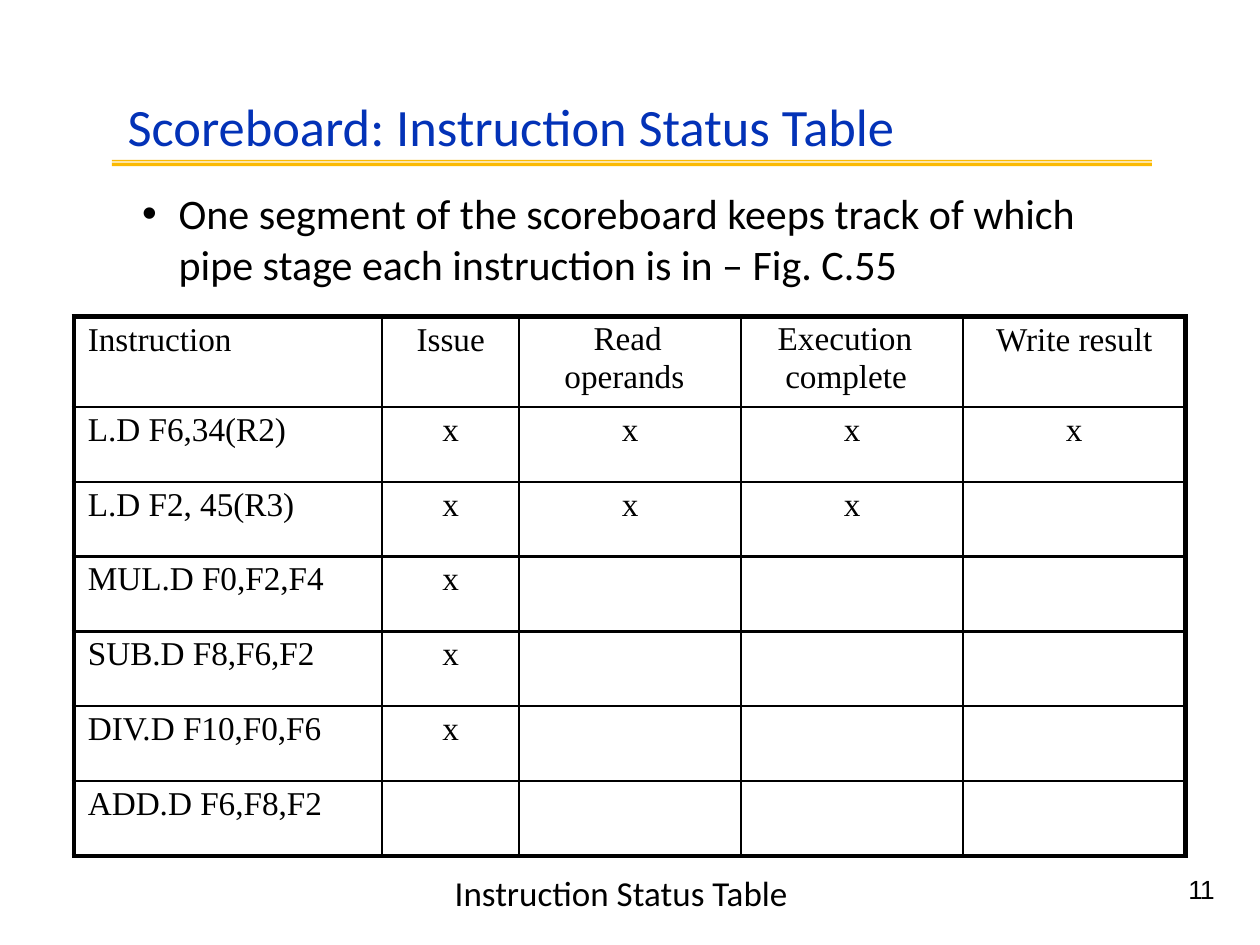
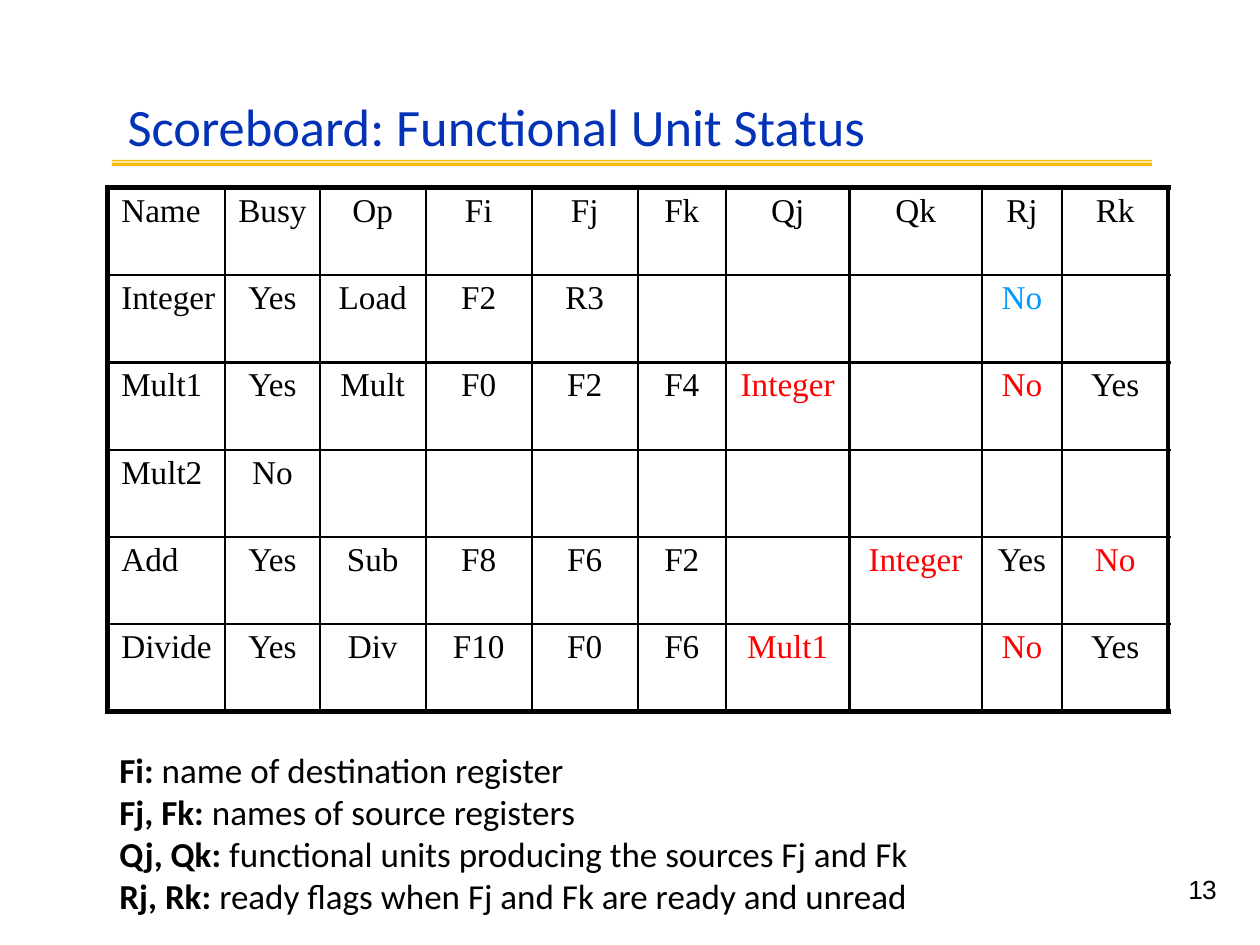
import pptx
import pptx.dml.color
import pptx.enum.text
import pptx.oxml
import pptx.oxml.ns
import pptx.util

Pt = pptx.util.Pt
ALIGN = pptx.enum.text.PP_ALIGN
COLORS = {"title": "0332B7", "rule": "FBBA03", "text": "000000",
          "waiting": "FF0000", "read": "0099FF"}
FONT, TABLE_FONT, NUMBER_FONT = "Calibri", "Times New Roman", "Arial"
RULE_LEFT, RULE_RIGHT = 64, 658.2
RULE_STRIPES = [(92.9, 95), (91.4, 92.2)]
OUTER_LINE, INNER_LINE = 3, 1.5


def rgb(name):
    return pptx.dml.color.RGBColor.from_string(COLORS[name])


def format_run(r, size, font=FONT, color="text", bold=False):
    r.font.size = Pt(size)
    r.font.name = font
    r.font.bold = bold
    r.font.color.rgb = rgb(color)


def set_indent(p, left, first):
    pPr = p._p.get_or_add_pPr()
    pPr.set("marL", str(Pt(left)))
    pPr.set("indent", str(Pt(first)))


def prepare_frame(sp, box, margins):
    """Place a text shape and set its insets (left, top, right, bottom)."""
    sp.left, sp.top, sp.width, sp.height = map(Pt, box)
    tf = sp.text_frame
    tf.word_wrap = True
    tf.auto_size = pptx.enum.text.MSO_AUTO_SIZE.NONE
    tf.vertical_anchor = pptx.enum.text.MSO_ANCHOR.TOP
    (tf.margin_left, tf.margin_top,
     tf.margin_right, tf.margin_bottom) = map(Pt, margins)
    return tf


def add_textbox(s, box, margins=(7.2, 3.6, 7.2, 3.6)):
    return prepare_frame(s.shapes.add_textbox(0, 0, 0, 0), box, margins)


# Elements shared by both slides
def add_rule(s):
    builder = None
    for top, bottom in RULE_STRIPES:
        corners = [(Pt(x), Pt(y)) for x, y in (
            (RULE_RIGHT, top), (RULE_LEFT, top),
            (RULE_LEFT, bottom), (RULE_RIGHT, bottom))]
        if builder is None:
            builder = s.shapes.build_freeform(*corners[0], scale=1.0)
        else:
            builder.move_to(*corners[0])
        builder.add_line_segments(corners[1:], close=True)
    sp = builder.convert_to_shape()
    sp.shadow.inherit = False
    sp.fill.solid()
    sp.fill.fore_color.rgb = rgb("rule")
    sp.line.fill.background()


def add_title(s, text):
    tf = prepare_frame(s.shapes.title, (72, 44.6, 580, 45.4), (0.9, 9.4, 0, 0))
    tf.text = text
    p = tf.paragraphs[0]
    p.alignment = ALIGN.LEFT
    format_run(p.runs[0], 30, color="title")


def add_page_number(s, number):
    tf = add_textbox(s, (668.2, 499.7, 30.2, 34.6), (10.8, 0, 0, 0))
    tf.text = str(number)
    p = tf.paragraphs[0]
    p.line_spacing = Pt(17.5)
    r = p.runs[0]
    format_run(r, 15, NUMBER_FONT)
    r._r.get_or_add_rPr().set("spc", "-40")


def new_slide(prs, layout, title, number):
    s = prs.slides.add_slide(prs.slide_layouts[layout])
    add_rule(s)
    add_title(s, title)
    add_page_number(s, number)
    return s


# Text
def fill_bullet(sp, box, text):
    tf = prepare_frame(sp, box, (0, 3.6, 0, 0))
    tf.text = text
    p = tf.paragraphs[0]
    p.space_before = Pt(0)
    set_indent(p, 21.5, -20.9)
    bullet = pptx.oxml.parse_xml(
        f'<a:buChar {pptx.oxml.ns.nsdecls("a")} char="•"/>')
    p._p.get_or_add_pPr().append(bullet)
    format_run(p.runs[0], 24)


def add_caption(s, box, text):
    tf = add_textbox(s, box)
    tf.text = text
    p = tf.paragraphs[0]
    p.alignment = ALIGN.CENTER
    format_run(p.runs[0], 20)


def add_legend(s, box, entries):
    tf = add_textbox(s, box)
    for i, (term, meaning) in enumerate(entries):
        p = tf.add_paragraph() if i else tf.paragraphs[0]
        for text, bold in ((f"{term}:", True), (f" {meaning}", False)):
            r = p.add_run()
            r.text = text
            format_run(r, 20, bold=bold)


# Tables
def set_borders(cell, widths):
    """Give a cell black borders; widths run left, right, top, bottom."""
    tcPr = cell._tc.get_or_add_tcPr()
    for i, (side, width) in enumerate(zip("LRTB", widths)):
        tcPr.insert(i, pptx.oxml.parse_xml(
            f'<a:ln{side} {pptx.oxml.ns.nsdecls("a")} w="{Pt(width)}">'
            f'<a:solidFill><a:srgbClr val="{COLORS["text"]}"/></a:solidFill>'
            f'</a:ln{side}>'))


def fill_cell(cell, text, color, centered):
    cell.margin_left = cell.margin_right = cell.margin_bottom = 0
    cell.margin_top = Pt(2.7)
    cell.fill.background()
    cell.text_frame.text = text
    p = cell.text_frame.paragraphs[0]
    if centered:
        p.alignment = ALIGN.CENTER
    else:
        set_indent(p, 7.9, 0)
    for r in p.runs:
        format_run(r, 19, TABLE_FONT, color)


def add_grid(s, left, top, col_widths, row_heights, rows, cell_colors=None):
    n_rows, n_cols = len(row_heights), len(col_widths)
    table = s.shapes.add_table(
        n_rows, n_cols, Pt(left), Pt(top),
        Pt(sum(col_widths)), Pt(sum(row_heights))).table
    table.first_row = table.horz_banding = False
    for column, width in zip(table.columns, col_widths):
        column.width = Pt(width)
    for row, height in zip(table.rows, row_heights):
        row.height = Pt(height)
    for i, texts in enumerate(rows):
        for j, text in enumerate(texts):
            cell = table.cell(i, j)
            color = (cell_colors or {}).get((i, j), "text")
            fill_cell(cell, text, color, centered=j > 0)
            on_edge = (j == 0, j == n_cols - 1, i == 0, i == n_rows - 1)
            set_borders(cell, [OUTER_LINE if edge else INNER_LINE
                               for edge in on_edge])
    return table


def indent_heading(cell, left, first):
    """Left-align a two-line heading with its own indents."""
    p = cell.text_frame.paragraphs[0]
    p.alignment = ALIGN.LEFT
    p.line_spacing = 1.03
    set_indent(p, left, first)
    cell.margin_top = Pt(2)


# Slides
def instruction_status(prs):
    s = new_slide(prs, 1, "Scoreboard: Instruction Status Table", 11)
    fill_bullet(s.placeholders[1], (80.6, 103.7, 549.4, 62),
                "One segment of the scoreboard keeps track of which "
                "pipe stage each instruction is in – Fig. C.55")
    stages = ["Issue", "Read operands", "Execution complete", "Write result"]
    stages_done = {"L.D F6,34(R2)": 4, "L.D F2, 45(R3)": 3, "MUL.D F0,F2,F4": 1,
                   "SUB.D F8,F6,F2": 1, "DIV.D F10,F0,F6": 1,
                   "ADD.D F6,F8,F2": 0}
    rows = [["Instruction"] + stages]
    for instruction, done in stages_done.items():
        rows.append([instruction] + ["x"] * done + [""] * (len(stages) - done))
    table = add_grid(s, 42.3, 181, [176.2, 78.2] + [126.9] * 3,
                     [51.6] + [42.75] * len(stages_done), rows)
    indent_heading(table.cell(0, 2), 25.9, 16.6)
    indent_heading(table.cell(0, 3), 25.2, -4.3)
    add_caption(s, (175, 494.6, 360, 31.7), "Instruction Status Table")


def functional_unit_status(prs):
    s = new_slide(prs, 5, "Scoreboard: Functional Unit Status", 13)
    rows = [
        ["Name", "Busy", "Op", "Fi", "Fj", "Fk", "Qj", "Qk", "Rj", "Rk"],
        ["Integer", "Yes", "Load", "F2", "R3", "", "", "", "No", ""],
        ["Mult1", "Yes", "Mult", "F0", "F2", "F4", "Integer", "", "No", "Yes"],
        ["Mult2", "No"] + [""] * 8,
        ["Add", "Yes", "Sub", "F8", "F6", "F2", "", "Integer", "Yes", "No"],
        ["Divide", "Yes", "Div", "F10", "F0", "F6", "Mult1", "", "No", "Yes"],
    ]
    waiting = [(2, 6), (2, 8), (4, 7), (4, 9), (5, 6), (5, 8)]
    cell_colors = {(1, 8): "read", **dict.fromkeys(waiting, "waiting")}
    add_grid(s, 61.4, 107.3,
             [67.3, 54, 60.6, 60.6, 60.6, 50.4, 70.6, 75.6, 46, 60.6],
             [49.9] * len(rows), rows, cell_colors)
    add_legend(s, (61.2, 424.1, 477.4, 104.4), [
        ("Fi", "name of destination register"),
        ("Fj, Fk", "names of source registers"),
        ("Qj, Qk", "functional units producing the sources Fj and Fk"),
        ("Rj, Rk", "ready flags when Fj and Fk are ready and unread"),
    ])


def main():
    prs = pptx.Presentation()
    prs.slide_width, prs.slide_height = Pt(720), Pt(540)
    instruction_status(prs)
    functional_unit_status(prs)
    prs.save("out.pptx")


if __name__ == "__main__":
    main()
